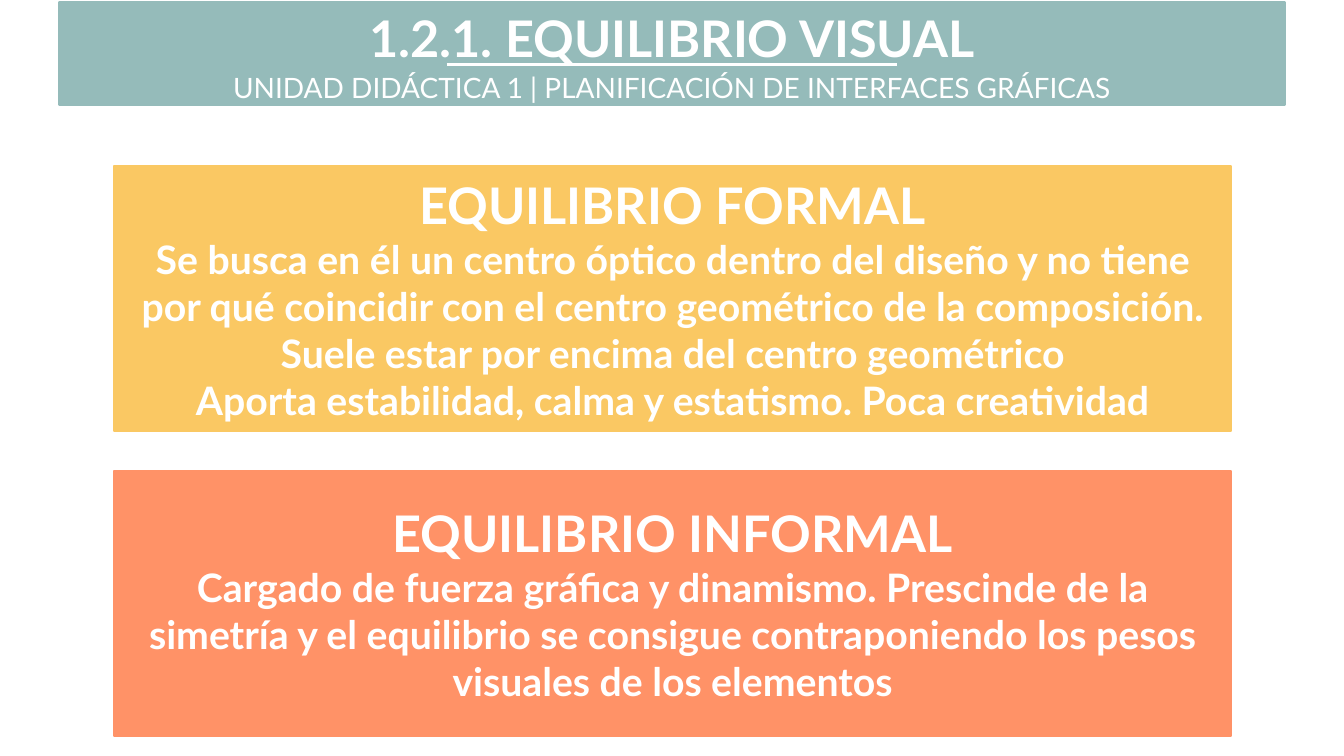
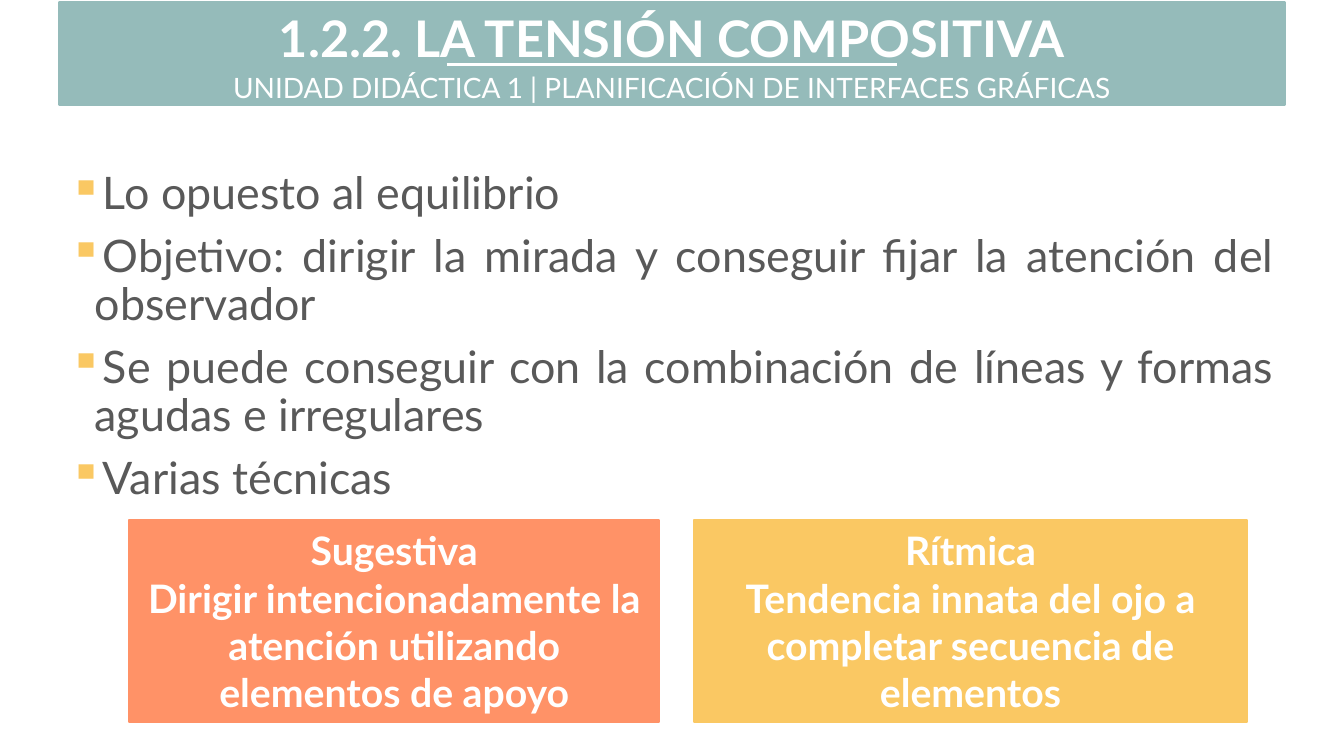
import pptx
import pptx.dml.color
import pptx.enum.shapes
import pptx.enum.text
import pptx.oxml.ns
import pptx.util
from dataclasses import dataclass
from lxml import etree

ALIGN = pptx.enum.text.PP_ALIGN
ANCHOR = pptx.enum.text.MSO_ANCHOR


@dataclass(frozen=True)
class Theme:
    font: str = "Lato"
    teal: str = "95BBBA"
    yellow: str = "FAC863"
    orange: str = "FF9267"
    white: str = "FFFFFF"
    grey: str = "595959"
    title_size: int = 36
    bullet_size: int = 32
    card_size: int = 28
    unit_size: int = 20
    outline: float = 1.5
    rule: float = 2.25


THEME = Theme()
PX = pptx.util.Inches(1) // 100

SLIDE_SIZE = (1333, 750)
TITLE_BAND = (59, 2, 1215, 101)
UNIT_BAND = (59, 69, 1215, 35)
TITLE_RULE = (443, 64, 890, 64)
BULLET_AREA = (59, 165, 1215, 564)
BULLET_INDENT = 25

UNIT = "UNIDAD DIDÁCTICA 1 | PLANIFICACIÓN DE INTERFACES GRÁFICAS"

# Each card: frame, fill, heading size, heading, body paragraphs
SLIDES = [
    {
        "title": "1.2.1. EQUILIBRIO VISUAL",
        "bullets": [],
        "cards": [
            ((113, 165, 1108, 263), THEME.yellow, THEME.title_size, "EQUILIBRIO FORMAL", [
                "Se busca en él un centro óptico dentro del diseño y no tiene por qué "
                "coincidir con el centro geométrico de la composición. Suele estar por "
                "encima del centro geométrico",
                "Aporta estabilidad, calma y estatismo. Poca creatividad",
            ]),
            ((113, 467, 1108, 263), THEME.orange, THEME.title_size, "EQUILIBRIO INFORMAL", [
                "Cargado de fuerza gráfica y dinamismo. Prescinde de la simetría y el "
                "equilibrio se consigue contraponiendo los pesos visuales de los elementos",
            ]),
        ],
    },
    {
        "title": "1.2.2. LA TENSIÓN COMPOSITIVA",
        "bullets": [
            "Lo opuesto al equilibrio",
            "Objetivo: dirigir la mirada y conseguir fijar la atención del observador",
            "Se puede conseguir con la combinación de líneas y formas agudas e irregulares",
            "Varias técnicas",
        ],
        "cards": [
            ((128, 516, 526, 200), THEME.orange, THEME.card_size, "Sugestiva", [
                "Dirigir intencionadamente la atención utilizando elementos de apoyo",
            ]),
            ((688, 516, 549, 200), THEME.yellow, THEME.card_size, "Rítmica", [
                "Tendencia innata del ojo a completar secuencia de elementos",
            ]),
        ],
    },
]


def emu(lengths):
    return [length * PX for length in lengths]


def rgb(color):
    return pptx.dml.color.RGBColor.from_string(color)


def paint(shape, color):
    shape.fill.solid()
    shape.fill.fore_color.rgb = rgb(color)
    shape.line.color.rgb = rgb(color)
    shape.line.width = pptx.util.Pt(THEME.outline)


def write(shape, lines, color=THEME.white, align=ALIGN.CENTER, anchor=ANCHOR.MIDDLE):
    """Fill a shape with one paragraph per (text, size, bold) and return the paragraphs."""
    frame = shape.text_frame
    frame.word_wrap = True
    frame.auto_size = pptx.enum.text.MSO_AUTO_SIZE.NONE
    frame.vertical_anchor = anchor
    for index, (text, size, bold) in enumerate(lines):
        para = frame.add_paragraph() if index else frame.paragraphs[0]
        para.alignment = align
        span = para.add_run()
        span.text = text
        span.font.name = THEME.font
        span.font.size = pptx.util.Pt(size)
        span.font.bold = bold
        span.font.color.rgb = rgb(color)
    return frame.paragraphs


def add_block(page, frame, color, lines):
    box = page.shapes.add_shape(pptx.enum.shapes.MSO_SHAPE.RECTANGLE, *emu(frame))
    box.shadow.inherit = False
    paint(box, color)
    write(box, lines)


def add_header(page, title):
    band = page.shapes.title
    band.left, band.top, band.width, band.height = emu(TITLE_BAND)
    paint(band, THEME.teal)
    write(band, [(title, THEME.title_size, True)], anchor=ANCHOR.TOP)
    add_block(page, UNIT_BAND, THEME.teal, [(UNIT, THEME.unit_size, False)])
    rule = page.shapes.add_connector(
        pptx.enum.shapes.MSO_CONNECTOR.STRAIGHT, *emu(TITLE_RULE))
    rule.line.color.rgb = rgb(THEME.white)
    rule.line.width = pptx.util.Pt(THEME.rule)
    etree.SubElement(rule.element.spPr, pptx.oxml.ns.qn("a:effectLst"))


def add_bullets(page, items):
    box = page.shapes.add_textbox(*emu(BULLET_AREA))
    lines = [(item, THEME.bullet_size, False) for item in items]
    for para in write(box, lines, THEME.grey, ALIGN.JUSTIFY, ANCHOR.TOP):
        para.line_spacing = 0.9
        para.space_before = pptx.util.Pt(10)
        props = para._p.get_or_add_pPr()
        props.set("marL", str(BULLET_INDENT * PX))
        props.set("indent", str(-BULLET_INDENT * PX))
        tint = etree.SubElement(props, pptx.oxml.ns.qn("a:buClr"))
        etree.SubElement(tint, pptx.oxml.ns.qn("a:srgbClr"), val=THEME.yellow)
        etree.SubElement(props, pptx.oxml.ns.qn("a:buChar"), char="▪")


def main():
    deck = pptx.Presentation()
    deck.slide_width, deck.slide_height = emu(SLIDE_SIZE)
    title_only = deck.slide_layouts.get_by_name("Title Only")
    for content in SLIDES:
        page = deck.slides.add_slide(title_only)
        add_header(page, content["title"])
        if content["bullets"]:
            add_bullets(page, content["bullets"])
        for frame, color, heading_size, heading, body in content["cards"]:
            lines = [(heading, heading_size, True)]
            lines += [(text, THEME.card_size, True) for text in body]
            add_block(page, frame, color, lines)
    deck.save("out.pptx")


if __name__ == "__main__":
    main()
